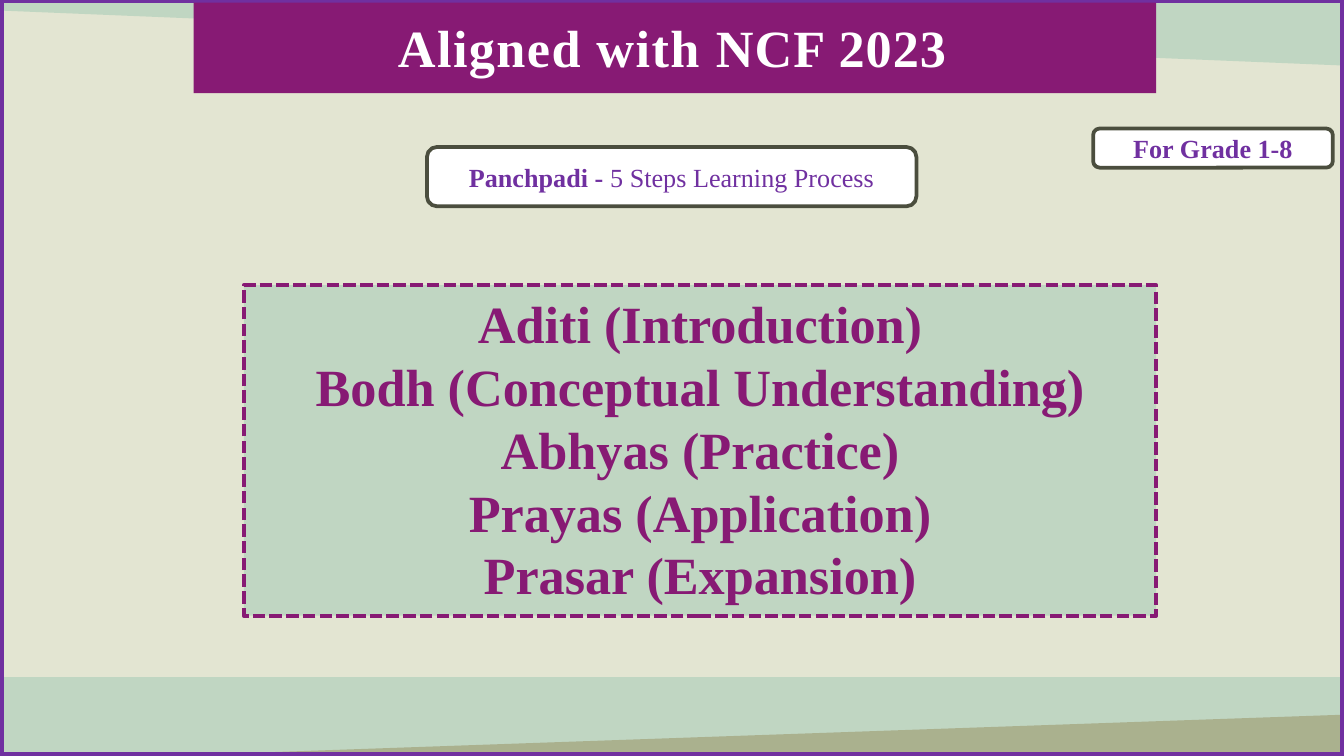
from pptx import Presentation
from pptx.dml.color import RGBColor
from pptx.enum.dml import MSO_LINE_DASH_STYLE as Dash
from pptx.enum.shapes import MSO_SHAPE as Shape
from pptx.enum.text import MSO_ANCHOR as Anchor, PP_ALIGN as Align
from pptx.util import Cm, Pt

WIDTH, HEIGHT = 25.4, 14.29
PLUM, PURPLE, OLIVE = "871A74", "7030A0", "4B4E3E"
MINT, SAGE, CREAM, WHITE = "C0D6C2", "AAB18E", "E3E5D2", "FFFFFF"


def color(value):
    return RGBColor.from_string(value)


def add_box(slide, kind, box, fill=None, line=None, line_width=0):
    shape = slide.shapes.add_shape(kind, *map(Cm, box))
    shape.shadow.inherit = False
    if fill:
        shape.fill.solid()
        shape.fill.fore_color.rgb = color(fill)
    else:
        shape.fill.background()
    if line:
        shape.line.color.rgb = color(line)
        shape.line.width = Pt(line_width)
    else:
        shape.line.fill.background()
    return shape


def add_polygon(slide, points, fill):
    corners = [(Cm(x), Cm(y)) for x, y in points]
    builder = slide.shapes.build_freeform(*corners[0])
    builder.add_line_segments(corners[1:], close=True)
    shape = builder.convert_to_shape()
    shape.shadow.inherit = False
    shape.fill.solid()
    shape.fill.fore_color.rgb = color(fill)
    shape.line.fill.background()


def write_line(paragraph, runs, size, font_color, bold=True):
    """Fill one centred paragraph and return its runs."""
    paragraph.alignment = Align.CENTER
    font = paragraph.font
    font.name, font.size, font.bold = "Times New Roman", Pt(size), bold
    font.color.rgb = color(font_color)
    for text in runs:
        paragraph.add_run().text = text
    return paragraph.runs


def add_background(slide, box):
    left, top, width, height = box
    right, bottom = left + width, top + height
    slide.background.fill.solid()
    slide.background.fill.fore_color.rgb = color(CREAM)
    # Bottom band with a rising wedge
    add_box(slide, Shape.RECTANGLE, (left, bottom - 1.49, width, 1.57), MINT)
    wedge = add_box(slide, Shape.RIGHT_TRIANGLE,
                    (left - 0.08, bottom - 0.78, width + 0.08, 0.89), SAGE)
    wedge._element.spPr.xfrm.set("flipH", "1")
    # Slanted top band
    add_polygon(slide, [(left, top), (left, top + 0.2),
                        (right, top + 1.24), (right, top)], MINT)
    # Frame
    add_box(slide, Shape.RECTANGLE, (left, top - 0.02, width, height + 0.02),
            line=PURPLE, line_width=4.5)


def add_steps(slide, box, steps):
    shape = add_box(slide, Shape.RECTANGLE, box, MINT, PLUM, 2.25)
    shape.line.dash_style = Dash.SQUARE_DOT
    frame = shape.text_frame
    frame.word_wrap = True
    frame.vertical_anchor = Anchor.TOP
    for index, step in enumerate(steps):
        paragraph = frame.add_paragraph() if index else frame.paragraphs[0]
        write_line(paragraph, [step], 28, PLUM)


def add_label(slide, box, bold_text, plain_text=None):
    shape = add_box(slide, Shape.ROUNDED_RECTANGLE, box, WHITE, OLIVE, 2)
    frame = shape.text_frame
    frame.word_wrap = True
    frame.vertical_anchor = Anchor.MIDDLE
    texts = [bold_text, plain_text] if plain_text else [bold_text]
    runs = write_line(frame.paragraphs[0], texts, 14, PURPLE)
    if plain_text:
        runs[1].font.bold = False


def add_banner(slide, box):
    left, top, width, height = box
    add_box(slide, Shape.RECTANGLE, box, PLUM)
    title = slide.shapes.add_textbox(Cm(left - 0.9), Cm(top + 0.23),
                                     Cm(width + 1.7), Cm(1.19))
    frame = title.text_frame
    frame.word_wrap = True
    frame.margin_left = frame.margin_right = 0
    frame.margin_top = frame.margin_bottom = 0
    runs = write_line(frame.paragraphs[0], ["Aligned with ", "NCF 2023"], 28, WHITE)
    # Letter spacing in hundredths of a point
    for run, spacing in zip(runs, ("80", "60")):
        run.font._element.set("spc", spacing)


def main():
    presentation = Presentation()
    presentation.slide_width = Cm(WIDTH)
    presentation.slide_height = Cm(HEIGHT)
    slide = presentation.slides.add_slide(presentation.slide_layouts[6])

    add_background(slide, (0, 0, WIDTH, HEIGHT))
    add_steps(slide, (4.61, 5.39, 17.24, 6.25), [
        "Aditi (Introduction)",
        "Bodh (Conceptual Understanding)",
        "Abhyas (Practice)",
        "Prayas (Application)",
        "Prasar (Expansion)",
    ])
    add_label(slide, (8.07, 2.78, 9.25, 1.12),
              "Panchpadi - ", "5 Steps Learning Process")
    add_banner(slide, (3.66, 0.05, 18.19, 1.71))
    add_label(slide, (20.66, 2.43, 4.53, 0.74), "For Grade 1-8")
    presentation.save("out.pptx")


if __name__ == "__main__":
    main()
